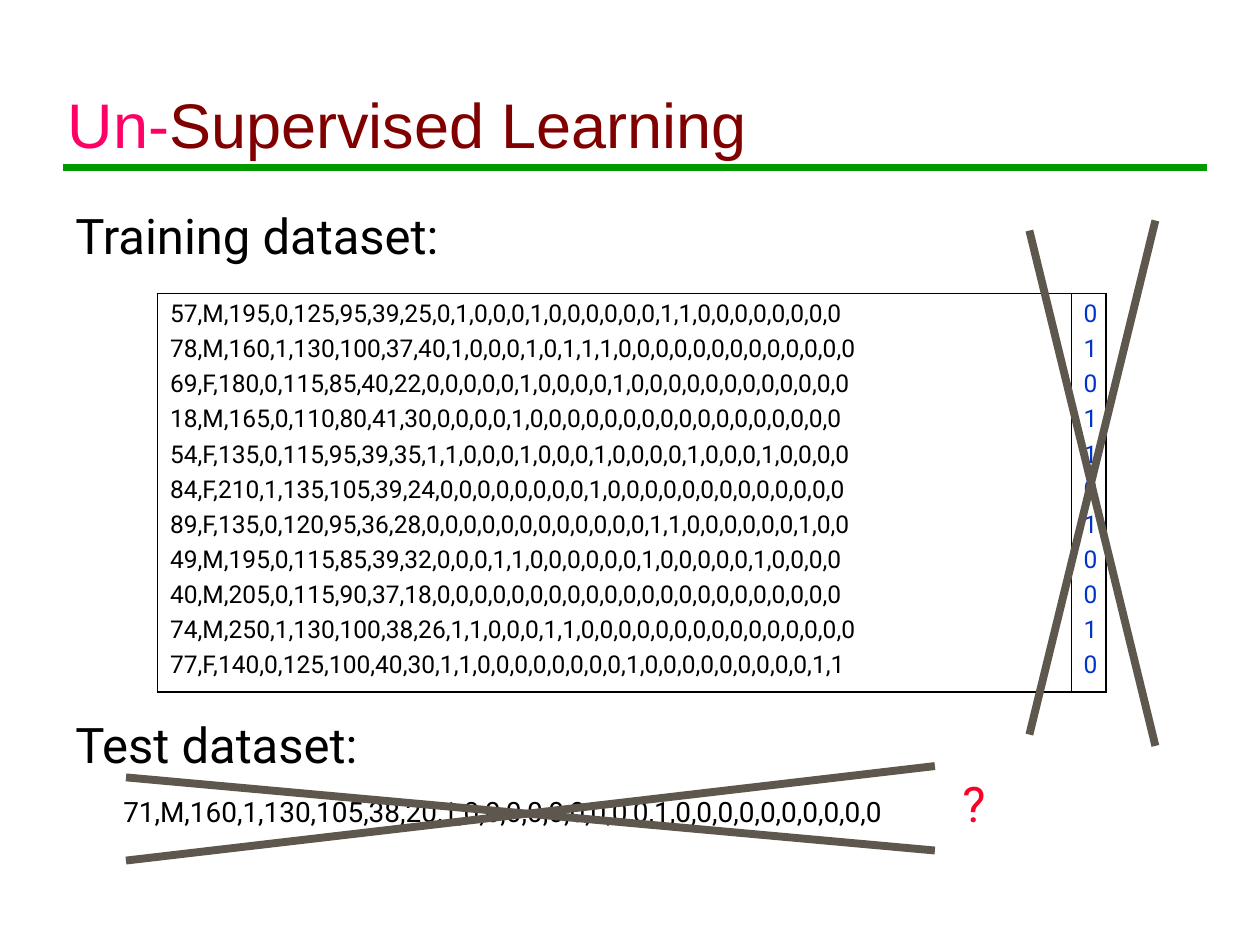
from dataclasses import dataclass

from lxml.etree import SubElement
from pptx import Presentation
from pptx.dml.color import RGBColor
from pptx.enum.shapes import MSO_CONNECTOR
from pptx.enum.text import MSO_ANCHOR
from pptx.oxml.ns import qn
from pptx.util import Inches, Pt


@dataclass(frozen=True)
class Theme:
    title_font: str = "Arial"
    body_font: str = "Roboto"
    title_size: int = 36
    heading_size: int = 28
    sample_size: int = 16
    table_size: int = 14
    black: str = "000000"
    pink: str = "FF0066"
    maroon: str = "800000"
    red: str = "FC0128"
    blue: str = "0033CC"
    green: str = "009900"
    grey: str = "5E574E"


THEME = Theme()

TRAINING_ROWS = [
    ("57,M,195,0,125,95,39,25,0,1,0,0,0,1,0,0,0,0,0,0,1,1,0,0,0,0,0,0,0,0", "0"),
    ("78,M,160,1,130,100,37,40,1,0,0,0,1,0,1,1,1,0,0,0,0,0,0,0,0,0,0,0,0,0", "1"),
    ("69,F,180,0,115,85,40,22,0,0,0,0,0,1,0,0,0,0,1,0,0,0,0,0,0,0,0,0,0,0,0", "0"),
    ("18,M,165,0,110,80,41,30,0,0,0,0,1,0,0,0,0,0,0,0,0,0,0,0,0,0,0,0,0,0", "1"),
    ("54,F,135,0,115,95,39,35,1,1,0,0,0,1,0,0,0,1,0,0,0,0,1,0,0,0,1,0,0,0,0", "1"),
    ("84,F,210,1,135,105,39,24,0,0,0,0,0,0,0,0,1,0,0,0,0,0,0,0,0,0,0,0,0,0", "0"),
    ("89,F,135,0,120,95,36,28,0,0,0,0,0,0,0,0,0,0,0,0,1,1,0,0,0,0,0,0,1,0,0", "1"),
    ("49,M,195,0,115,85,39,32,0,0,0,1,1,0,0,0,0,0,0,1,0,0,0,0,0,1,0,0,0,0", "0"),
    ("40,M,205,0,115,90,37,18,0,0,0,0,0,0,0,0,0,0,0,0,0,0,0,0,0,0,0,0,0,0", "0"),
    ("74,M,250,1,130,100,38,26,1,1,0,0,0,1,1,0,0,0,0,0,0,0,0,0,0,0,0,0,0,0", "1"),
    ("77,F,140,0,125,100,40,30,1,1,0,0,0,0,0,0,0,0,1,0,0,0,0,0,0,0,0,0,1,1", "0"),
]
TEST_SAMPLE = "71,M,160,1,130,105,38,20,1,0,0,0,0,0,0,0,0,0,1,0,0,0,0,0,0,0,0,0,0"


def set_format(target, values):
    for name, value in values.items():
        setattr(target, name, value)


def add_span(para, text, font, size, color):
    span = para.add_run()
    span.text = text
    set_format(span.font, {"name": font, "size": Pt(size)})
    span.font.color.rgb = RGBColor.from_string(color)


def add_tabs(para, positions):
    tab_list = SubElement(para._p.get_or_add_pPr(), qn("a:tabLst"))
    for position in positions:
        SubElement(tab_list, qn("a:tab"), pos=str(Inches(position)), algn="l")


def add_text(page, bounds, lines, para_format, anchor=MSO_ANCHOR.TOP, tabs=()):
    box = page.shapes.add_textbox(*map(Inches, bounds))
    frame = box.text_frame
    set_format(frame, {"word_wrap": True, "vertical_anchor": anchor})
    for index, spans in enumerate(lines):
        para = frame.add_paragraph() if index else frame.paragraphs[0]
        if tabs:
            add_tabs(para, tabs)
        set_format(para, para_format)
        if index == 0:
            para.space_before = Pt(0)
        for span in spans:
            add_span(para, *span)


def add_line(page, start, end, color, width):
    line = page.shapes.add_connector(
        MSO_CONNECTOR.STRAIGHT, *map(Inches, (*start, *end))
    )
    line.line.color.rgb = RGBColor.from_string(color)
    line.line.width = Pt(width)
    SubElement(line._element.spPr, qn("a:effectLst"))


def add_borders(cell, widths):
    properties = cell._tc.get_or_add_tcPr()
    for index, (side, width) in enumerate(widths.items()):
        border = SubElement(properties, qn(f"a:{side}"), w=str(Pt(width)))
        fill = SubElement(border, qn("a:solidFill"))
        SubElement(fill, qn("a:srgbClr"), val=THEME.black)
        properties.remove(border)
        properties.insert(index, border)


def add_training_table(page):
    bounds = map(Inches, (1.25, 2.33, 7.53, 3.16))
    table = page.shapes.add_table(1, 2, *bounds).table
    set_format(table, {"first_row": False, "horz_banding": False})
    outer, inner = 1.08, 0.45
    columns = zip(
        table.columns,
        table.rows[0].cells,
        (7.25, 0.28),
        (THEME.black, THEME.blue),
        ((outer, inner), (inner, outer)),
        zip(*TRAINING_ROWS),
    )
    for column, cell, width, color, (left, right), values in columns:
        column.width = Inches(width)
        cell.fill.background()
        add_borders(cell, {"lnL": left, "lnR": right, "lnT": outer, "lnB": outer})
        frame = cell.text_frame
        for index, value in enumerate(values):
            para = frame.add_paragraph() if index else frame.paragraphs[0]
            para.space_before = Pt(3.5 if index else 0)
            add_span(para, value, THEME.body_font, THEME.table_size, color)


def main():
    deck = Presentation()
    set_format(deck, {"slide_width": Inches(10), "slide_height": Inches(7.5)})
    page = deck.slides.add_slide(deck.slide_layouts[6])

    add_line(page, (0.5, 1.33), (9.58, 1.33), THEME.green, 4)
    title_style = (THEME.title_font, THEME.title_size)
    add_text(
        page,
        (0.44, 0.25, 8.97, 1.08),
        [[("Un-", *title_style, THEME.pink),
          ("Supervised Learning", *title_style, THEME.maroon)]],
        {},
        MSO_ANCHOR.BOTTOM,
    )

    heading_style = (THEME.body_font, THEME.heading_size)
    body_format = {"line_spacing": 0.8, "space_before": Pt(7)}
    add_text(
        page,
        (0.5, 1.67, 8.92, 0.5),
        [[("Training dataset:", *heading_style, THEME.black)]],
        body_format,
    )
    add_text(
        page,
        (0.5, 5.71, 8.92, 1.04),
        [[("Test dataset:", *heading_style, THEME.black)],
         [(f"\t{TEST_SAMPLE}\t", THEME.body_font, THEME.sample_size, THEME.black),
          ("?", *heading_style, THEME.red)]],
        body_format,
        tabs=(0.38, 7.04),
    )
    add_training_table(page)

    strokes = [
        ((8.17, 1.83), (9.17, 5.92)),
        ((9.17, 1.75), (8.17, 5.83)),
        ((1, 6.17), (7.42, 6.75)),
        ((7.42, 6.08), (1, 6.83)),
    ]
    for start, end in strokes:
        add_line(page, start, end, THEME.grey, 4.5)

    deck.save("out.pptx")


if __name__ == "__main__":
    main()
